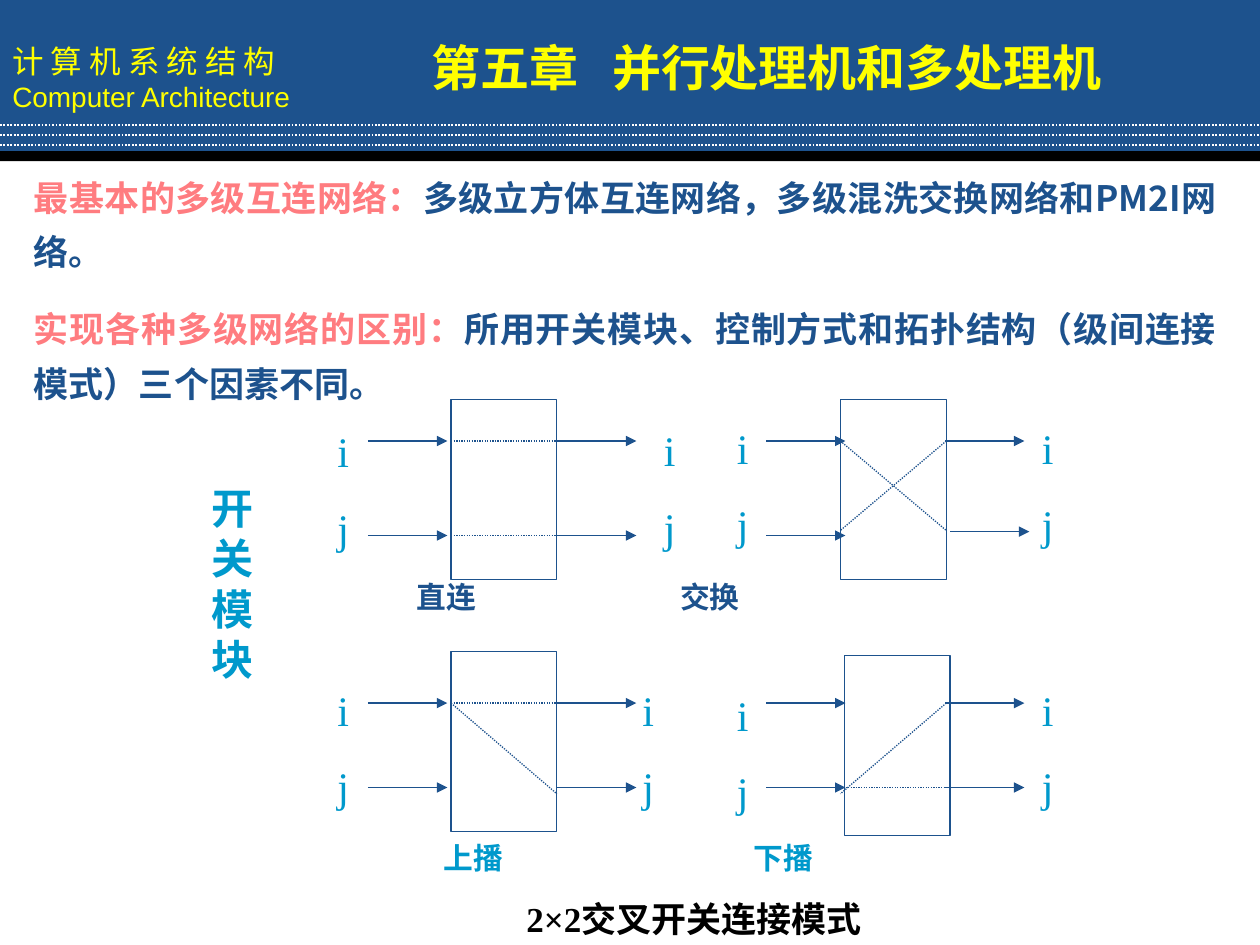
from lxml.etree import SubElement
from pptx import Presentation
from pptx.dml.color import RGBColor
from pptx.enum.dml import MSO_LINE
from pptx.enum.shapes import MSO_CONNECTOR, MSO_SHAPE
from pptx.enum.text import MSO_ANCHOR, PP_ALIGN
from pptx.oxml.ns import qn
from pptx.util import Inches, Pt

BLUE = RGBColor(0x1D, 0x52, 0x8D)
CYAN = RGBColor(0x00, 0x99, 0xCC)
PINK = RGBColor(0xFF, 0x7C, 0x80)
YELLOW = RGBColor(0xFF, 0xFF, 0x00)
WHITE = RGBColor(0xFF, 0xFF, 0xFF)
BLACK = RGBColor(0x00, 0x00, 0x00)
SANS, SERIF = "Noto Sans CJK SC", "Times New Roman"

prs = Presentation()
prs.slide_width, prs.slide_height = Inches(10), Inches(7.5)
s = prs.slides.add_slide(prs.slide_layouts[6])


def add_line(x1, y1, x2, y2, color=BLUE, width=0.75, dash=None, arrow=False):
    c = s.shapes.add_connector(MSO_CONNECTOR.STRAIGHT, Inches(x1), Inches(y1),
                               Inches(x2), Inches(y2))
    c.line.color.rgb = color
    c.line.width = Pt(width)
    if dash:
        c.line.dash_style = dash
    if arrow:
        SubElement(c.line._get_or_add_ln(), qn("a:tailEnd"), type="triangle")
    SubElement(c._element.spPr, qn("a:effectLst"))


def add_text(x, y, w, h, paragraphs, size, font, color, bold=False, before=0, tabs=()):
    """Each paragraph is a list of (text, color) runs; color None keeps the default."""
    tf = s.shapes.add_textbox(Inches(x), Inches(y), Inches(w), Inches(h)).text_frame
    tf.word_wrap = True
    for i, runs in enumerate(paragraphs):
        p = tf.paragraphs[0] if i == 0 else tf.add_paragraph()
        if i:
            p.space_before = Pt(before)
        if tabs:
            tab_list = SubElement(p._p.get_or_add_pPr(), qn("a:tabLst"))
            for tab in tabs:
                SubElement(tab_list, qn("a:tab"), pos=str(Inches(tab)), algn="l")
        p.font.size, p.font.name, p.font.bold = Pt(size), font, bold
        p.font.color.rgb = color
        SubElement(p.font._element, qn("a:ea"), typeface=SANS)
        for text, run_color in runs:
            r = p.add_run()
            r.text = text
            if run_color is not None:
                r.font.color.rgb = run_color
    return tf


# Header band with the course name
for y, h, color in [(0, 1.23, BLUE), (1.2, 0.08, BLACK)]:
    sp = s.shapes.add_shape(MSO_SHAPE.RECTANGLE, 0, Inches(y), Inches(10), Inches(h))
    sp.shadow.inherit = False
    sp.fill.solid()
    sp.fill.fore_color.rgb = color
    sp.line.fill.background()
tf = add_text(0, 0, 3.3, 1.23, [[("计 算 机 系 统 结 构", None)],
                                [("Computer Architecture", None)]], 18, "Arial", YELLOW)
tf.vertical_anchor = MSO_ANCHOR.MIDDLE
tf.paragraphs[0].font.name = SANS
tf.paragraphs[1].font.size = Pt(16)
for y in (0.99, 1.07, 1.15):
    add_line(0, y, 10, y, WHITE, 1, MSO_LINE.ROUND_DOT)

# Chapter title
add_text(3.33, 0.25, 6.42, 0.57, [[("第五章\t并行处理机和多处理机", None)]],
         28, SANS, YELLOW, bold=True, tabs=[1.43])

# Body paragraphs
tf = add_text(0.17, 1.25, 9.58, 2.01, [
    [("最基本的多级互连网络：", PINK),
     ("多级立方体互连网络，多级混洗交换网络和PM2I网络。", BLUE)],
    [("实现各种多级网络的区别：", PINK),
     ("所用开关模块、控制方式和拓扑结构（级间连接模式）三个因素不同。", BLUE)],
], 20, SANS, BLUE, bold=True, before=12.5)
for p in tf.paragraphs:
    p.alignment = PP_ALIGN.JUSTIFY
    p.line_spacing = 1.3

# Switch modules: box corner, arrow starts, dotted paths, i/j label corners
modules = [
    ((3.58, 3.17),
     [(2.92, 3.5), (2.92, 4.25), (4.42, 3.5), (4.42, 4.25)],
     [(3.58, 3.5, 4.42, 3.5), (3.58, 4.25, 4.42, 4.25)],
     [(2.58, 3.33), (5.17, 3.32)]),
    ((6.67, 3.17),
     [(6.08, 3.5), (6.08, 4.25), (7.5, 3.5), (7.54, 4.22)],
     [(6.67, 3.5, 7.51, 4.21), (7.51, 3.5, 6.67, 4.21)],
     [(5.75, 3.3), (8.17, 3.3)]),
    ((3.58, 5.17),
     [(2.92, 5.58), (2.92, 6.25), (4.42, 5.58), (4.42, 6.25)],
     [(3.58, 5.58, 4.42, 5.58), (3.58, 5.58, 4.42, 6.3)],
     [(2.58, 5.38), (5, 5.38)]),
    ((6.7, 5.2),
     [(6.08, 5.58), (6.08, 6.25), (7.5, 5.58), (7.5, 6.25)],
     [(6.67, 6.25, 7.51, 6.25), (7.51, 5.58, 6.67, 6.3)],
     [(5.75, 5.42), (8.17, 5.38)]),
]
for (x, y), arrows, paths, labels in modules:
    sp = s.shapes.add_shape(MSO_SHAPE.RECTANGLE, Inches(x), Inches(y),
                            Inches(0.84), Inches(1.43))
    sp.shadow.inherit = False
    sp.fill.background()
    sp.line.color.rgb = BLUE
    sp.line.width = Pt(0.75)
    for ax, ay in arrows:
        add_line(ax, ay, ax + 0.63, ay, arrow=True)
    for path in paths:
        add_line(*path, dash=MSO_LINE.ROUND_DOT)
    for lx, ly in labels:
        add_text(lx, ly, 0.42, 1.11, [[("i", None)], [("j", None)]],
                 24, SERIF, CYAN, before=15)

# Mode names under each row of modules
for x, y, w, names, font, color, tabs in [
    (2.63, 4.58, 5.9, "\t直连\t交换", SANS, BLUE, [0.58, 2.67]),
    (2.83, 6.65, 5.67, "\t上播\t下播", SERIF, CYAN, [0.59, 3.05]),
]:
    tf = add_text(x, y, w, 0.42, [[(names, None)]], 17, font, color, bold=True, tabs=tabs)
    tf.paragraphs[0].line_spacing = 0.9

# Side heading and caption
add_text(1.58, 3.78, 0.5, 1.7, [[("开关模块", None)]], 24, SANS, CYAN, bold=True)
add_text(4.08, 7.07, 3.33, 0.44, [[("2×2交叉开关连接模式", None)]],
         20, SERIF, BLACK, bold=True)

prs.save("out.pptx")
